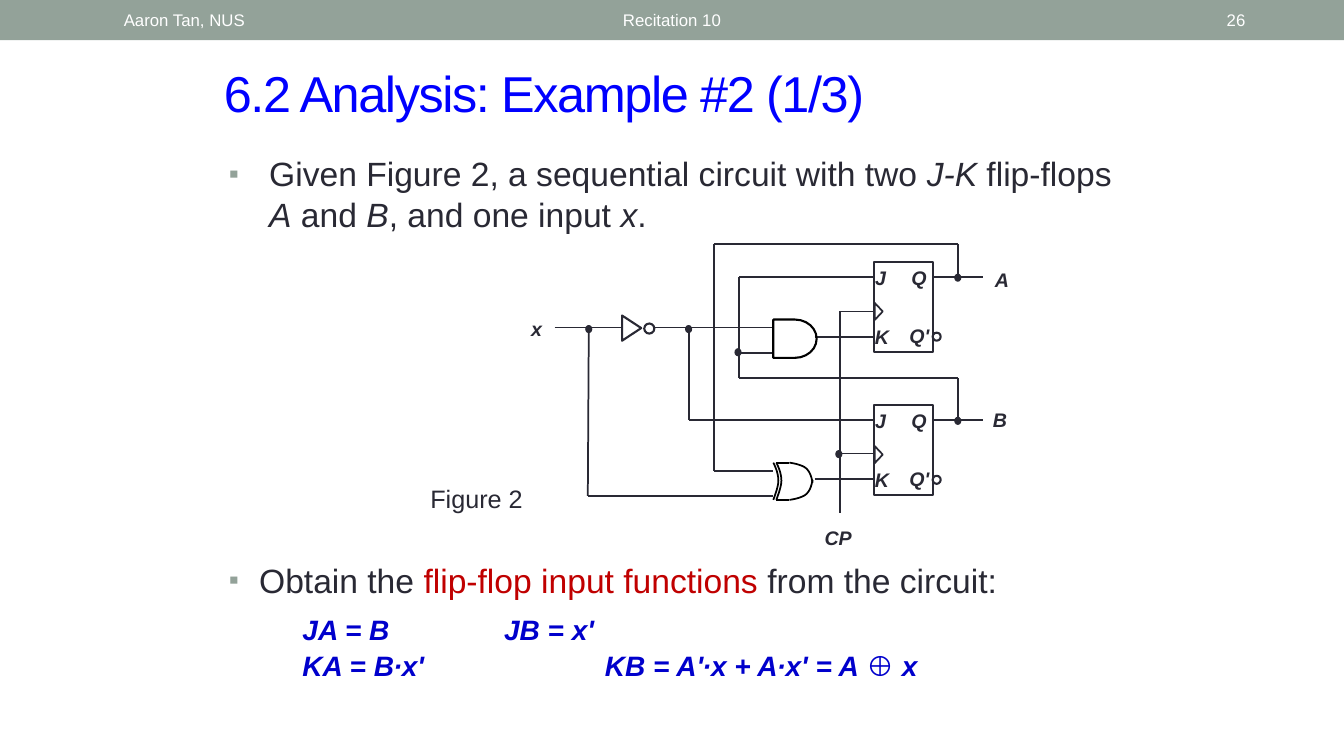
from pptx import Presentation
from pptx.dml.color import RGBColor
from pptx.enum import shapes, text
from pptx.oxml import ns
from pptx.util import Inches, Pt
from lxml import etree

INK = RGBColor(0x29, 0x29, 0x34)
BLACK = RGBColor(0, 0, 0)
WHITE = RGBColor(255, 255, 255)
SAGE = RGBColor(0x93, 0xA2, 0x99)
TITLE_BLUE = RGBColor(0, 0, 255)
FORMULA_BLUE = RGBColor(0, 0, 0xCC)
RED = RGBColor(0xC0, 0, 0)
KIND = shapes.MSO_SHAPE
ALIGN = text.PP_ALIGN
ANCHOR = text.MSO_ANCHOR


class CircuitSlide:
    font = "Arial"

    def __init__(self, page):
        self.page = page

    def place(self, item, left, top, width, height):
        item.left, item.top = Inches(left), Inches(top)
        item.width, item.height = Inches(width), Inches(height)

    def format(self, span, size, color, bold=False, italic=False):
        span.font.name = self.font
        span.font.size = Pt(size)
        span.font.color.rgb = color
        span.font.bold = bold
        span.font.italic = italic

    def title(self, words, *frame):
        box = self.page.shapes.title
        self.place(box, *frame)
        box.text_frame.text = words
        box.text_frame.auto_size = text.MSO_AUTO_SIZE.NONE
        box.text_frame.vertical_anchor = ANCHOR.MIDDLE
        para = box.text_frame.paragraphs[0]
        para.alignment = ALIGN.LEFT
        self.format(para.runs[0], 36, TITLE_BLUE)
        para.runs[0]._r.get_or_add_rPr().set("spc", "-100")

    def body(self, index, *frame):
        box = self.page.placeholders[index]
        self.place(box, *frame)
        box.text_frame.auto_size = text.MSO_AUTO_SIZE.NONE
        box.text_frame.vertical_anchor = ANCHOR.TOP
        return box.text_frame

    def item(self, para, spans, size, indent, bullet=True, before=0, bold=False):
        props = para._p.get_or_add_pPr()
        props.set("marL", str(Inches(indent)))
        props.set("indent", str(-Inches(indent) if bullet else 0))
        props.set("defTabSz", str(Inches(1)))
        if bullet:
            tint = etree.SubElement(props, ns.qn("a:buClr"))
            etree.SubElement(tint, ns.qn("a:srgbClr"), val=str(SAGE))
            etree.SubElement(props, ns.qn("a:buSzPct"), val="85000")
            etree.SubElement(props, ns.qn("a:buFont"), typeface=self.font)
            etree.SubElement(props, ns.qn("a:buChar"), char="▪")
        else:
            etree.SubElement(props, ns.qn("a:buNone"))
        para.space_before = Pt(before)
        for words, color, italic in spans:
            span = para.add_run()
            span.text = words
            self.format(span, size, color, bold, italic)

    def label(self, words, left, top, width, height, size=14, color=INK,
              strong=True, align=ALIGN.LEFT, anchor=ANCHOR.TOP, wrap=False):
        box = self.page.shapes.add_textbox(
            Inches(left), Inches(top), Inches(width), Inches(height))
        box.text_frame.word_wrap = wrap
        box.text_frame.vertical_anchor = anchor
        box.text_frame.text = words
        para = box.text_frame.paragraphs[0]
        para.alignment = align
        self.format(para.runs[0], size, color, strong, strong)

    def shape(self, kind, left, top, width, height, fill=None, line=INK,
              weight=1.5, turn=0):
        item = self.page.shapes.add_shape(
            kind, Inches(left), Inches(top), Inches(width), Inches(height))
        item.rotation = turn
        self.paint(item, fill, line, weight)

    def paint(self, item, fill, line, weight):
        item.shadow.inherit = False
        if fill is None:
            item.fill.background()
        else:
            item.fill.solid()
            item.fill.fore_color.rgb = fill
        if line is None:
            item.line.fill.background()
        else:
            item.line.color.rgb = line
            item.line.width = Pt(weight)

    def wire(self, x1, y1, x2, y2, color=INK):
        line = self.page.shapes.add_connector(
            shapes.MSO_CONNECTOR.STRAIGHT,
            Inches(x1), Inches(y1), Inches(x2), Inches(y2))
        line.line.color.rgb = color
        line.line.width = Pt(1.25)
        etree.SubElement(line._element.spPr, ns.qn("a:effectLst"))

    def curve(self, start, *segments, steps=10):
        points = []
        origin = start
        for first, second, end in segments:
            for step in range(1, steps + 1):
                t = step / steps
                s = 1 - t
                points.append(tuple(
                    Inches(s**3 * a + 3 * s * s * t * b + 3 * s * t * t * c + t**3 * d)
                    for a, b, c, d in zip(origin, first, second, end)))
            origin = end
        builder = self.page.shapes.build_freeform(Inches(start[0]), Inches(start[1]))
        builder.add_line_segments(points, close=False)
        self.paint(builder.convert_to_shape(), None, BLACK, 1.25)

    def junction(self, x, y):
        self.shape(KIND.OVAL, x - 0.03, y - 0.03, 0.06, 0.07, INK, weight=0.75)

    def flip_flop(self, top):
        self.wire(9.25, top + 0.15, 9.75, top + 0.15)
        self.junction(9.5, top + 0.15)
        self.shape(KIND.RECTANGLE, 8.67, top, 0.58, 0.89)
        self.shape(KIND.ISOSCELES_TRIANGLE, 8.63, top + 0.45, 0.17, 0.08,
                   weight=1.25, turn=90)
        self.shape(KIND.OVAL, 9.25, top + 0.7, 0.08, 0.08, WHITE)
        for words, left, drop, width in (
                ("J", 8.58, -0.01, 0.31), ("Q", 8.94, -0.01, 0.35),
                ("K", 8.58, 0.57, 0.34), ("Q'", 8.92, 0.56, 0.42)):
            self.label(words, left, top + drop, width, 0.33)

    def xor_gate(self):
        for x in (7.7, 7.67):
            self.curve((x, 4.59),
                       ((x + 0.03, 4.65), (x + 0.05, 4.71), (x + 0.05, 4.77)),
                       ((x + 0.05, 4.83), (x + 0.01, 4.93), (x, 4.96)))
        for edge, side in ((4.59, 1), (4.96, -1)):
            self.wire(7.7, edge, 7.83, edge, BLACK)
            self.curve((7.83, edge),
                       ((7.9, edge + side * 0.01), (7.97, edge + side * 0.03),
                        (8, edge + side * 0.06)),
                       ((8.04, edge + side * 0.1), (8.05, edge + side * 0.15),
                        (8.06, edge + side * 0.2)))


WIRES = (
    (9.5, 2.42, 9.5, 2.75), (9.5, 3.75, 9.5, 4.17),
    (8.08, 3.34, 8.67, 3.34), (7.33, 2.75, 8.67, 2.75),
    (5.5, 3.25, 6.17, 3.25), (6.5, 3.25, 7.67, 3.25),
    (5.84, 3.25, 5.83, 4.92), (7.08, 2.42, 9.5, 2.42),
    (8.08, 4.75, 8.67, 4.75), (6.83, 4.17, 8.67, 4.17),
    (7.33, 3.75, 9.5, 3.75), (7.33, 2.75, 7.33, 3.75),
    (8.33, 3.09, 8.33, 5.09), (8.33, 3.09, 8.67, 3.09),
    (8.33, 4.5, 8.67, 4.5), (7.08, 4.67, 7.67, 4.67),
    (5.83, 4.92, 7.67, 4.92), (7.08, 2.42, 7.08, 4.67),
    (6.83, 3.25, 6.83, 4.17), (7.33, 3.5, 7.67, 3.5),
)


def main():
    deck = Presentation()
    deck.slide_width, deck.slide_height = Inches(13.33), Inches(7.5)
    slide = CircuitSlide(deck.slides.add_slide(deck.slide_layouts[3]))

    slide.shape(KIND.RECTANGLE, 0, 0, 13.33, 0.4, SAGE, None)
    for words, left, width, align in (
            ("Aaron Tan, NUS", 1.13, 3.17, ALIGN.LEFT),
            ("Recitation 10", 3.02, 7.29, ALIGN.CENTER),
            ("26", 11.5, 0.95, ALIGN.RIGHT)):
        slide.label(words, left, 0.02, width, 0.36, 12, WHITE, False,
                    align, ANCHOR.MIDDLE, True)

    slide.title("6.2 Analysis: Example #2 (1/3)", 2.12, 0.57, 9.21, 0.7)
    given = slide.body(1, 2.17, 1.47, 9, 0.95)
    slide.item(given.paragraphs[0], (
        ("Given Figure 2, a sequential circuit with two ", INK, False),
        ("J-K", INK, True), (" flip-flops ", INK, False),
        ("A", INK, True), (" and ", INK, False), ("B", INK, True),
        (", and one input ", INK, False), ("x", INK, True), (".", INK, False)),
        24, 0.4)

    task = slide.body(2, 2.17, 5.5, 9, 1.33)
    slide.item(task.paragraphs[0], (
        ("Obtain the ", INK, False), ("flip-flop input functions ", RED, False),
        ("from the circuit:", INK, False)), 24, 0.3)
    slide.item(task.add_paragraph(), (("JA = B\t\tJB = x'", FORMULA_BLUE, True),),
               20, 0.73, False, 9, True)
    slide.item(task.add_paragraph(), (
        ("KA = B∙x'\t\tKB = A'∙x + A∙x' = A ", FORMULA_BLUE, True),
        ("⊕", FORMULA_BLUE, False), (" x", FORMULA_BLUE, True)),
        20, 0.73, False, 2, True)

    for ends in WIRES:
        slide.wire(*ends)
    for x, y in ((5.84, 3.26), (6.83, 3.26), (7.32, 3.49), (8.32, 4.5)):
        slide.junction(x, y)
    slide.shape(KIND.FLOWCHART_EXTRACT, 6.14, 3.16, 0.25, 0.19, turn=90)
    slide.shape(KIND.OVAL, 6.39, 3.21, 0.1, 0.1)
    slide.shape(KIND.FLOWCHART_DELAY, 7.67, 3.17, 0.43, 0.38, line=BLACK)
    slide.xor_gate()
    for top in (2.6, 4.02):
        slide.flip_flop(top)
    for words, left, top, width in (("A", 9.77, 2.61, 0.34), ("B", 9.75, 4, 0.34),
                                    ("x", 5.17, 3.09, 0.31), ("CP", 8.08, 5.17, 0.47)):
        slide.label(words, left, top, width, 0.33)
    slide.label("Figure 2", 4.17, 4.75, 1.25, 0.4, 18, strong=False, wrap=True)

    deck.save("out.pptx")


if __name__ == "__main__":
    main()
